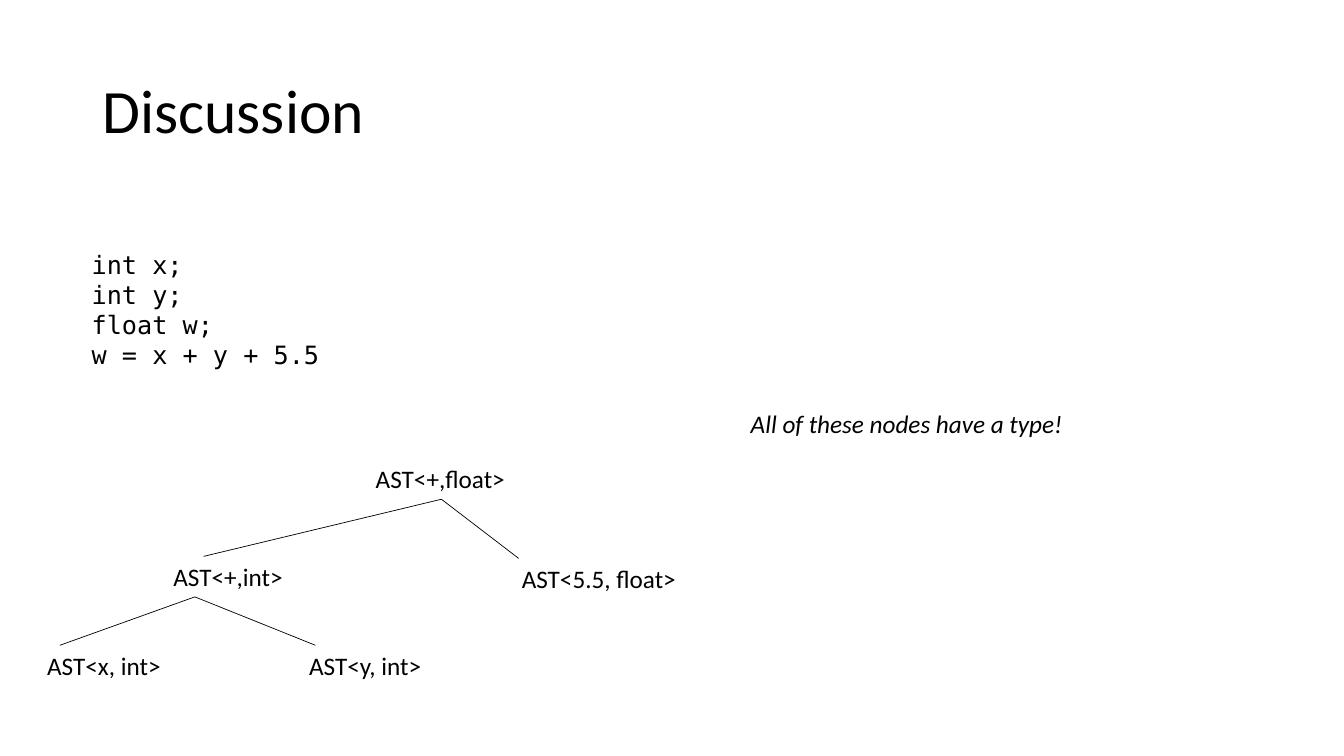
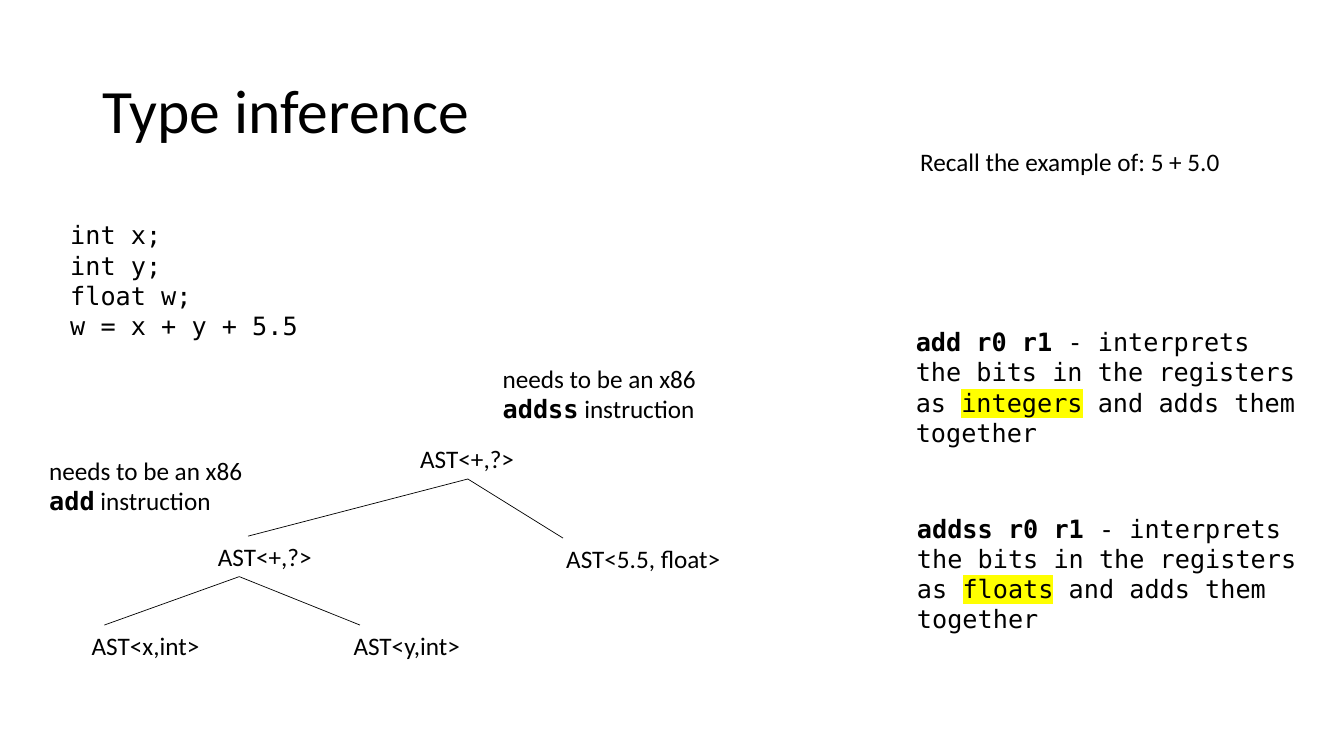
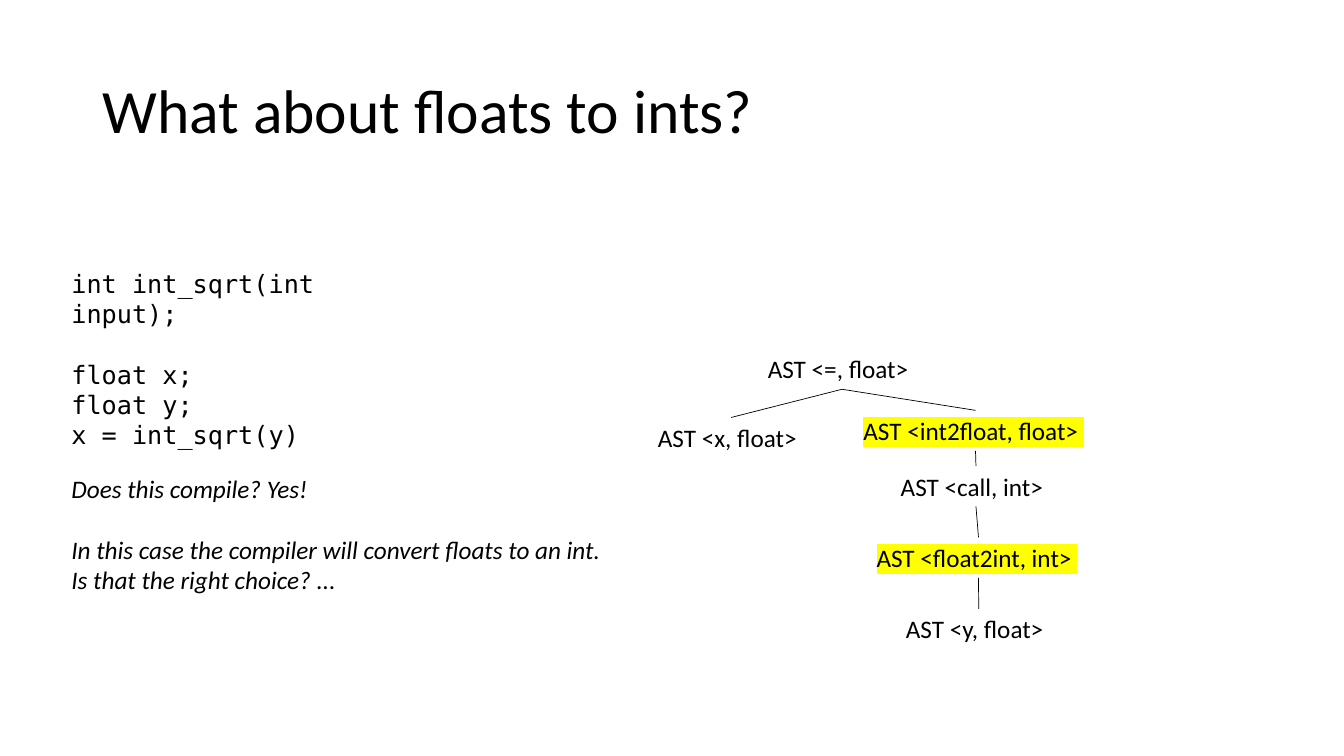
"""Build three slides on type inference over syntax trees."""
import pptx
import pptx.util
import pptx.dml.color
import pptx.enum.shapes
import pptx.enum.text
import pptx.oxml.ns
import lxml.etree

Cm = pptx.util.Cm
Pt = pptx.util.Pt
HUES = {"ink": "000000", "mark": "FFFF00"}
SANS = "Calibri"
MONO = "DejaVu Sans Mono"
TALL = 1.02
CODE = ["int x;", "int y;", "float w;\nw = x + y + 5.5"]


def hue(name):
    """Return a palette colour."""
    return pptx.dml.color.RGBColor.from_string(HUES[name])


def style(run, font=SANS, size=18, bold=False, slant=False, mark=False):
    """Format one run."""
    face = run.font
    face.size, face.bold, face.italic = Pt(size), bold, slant
    face.color.rgb = hue("ink")
    if mark:
        tag = pptx.oxml.ns.qn
        light = lxml.etree.SubElement(run._r.get_or_add_rPr(), tag("a:highlight"))
        lxml.etree.SubElement(light, tag("a:srgbClr"), val=HUES["mark"])
    face.name = font


def fill(frame, paras, gaps=(), **form):
    """Write paragraphs of plain text or (text, format) runs; gaps lists those set apart."""
    for rank, runs in enumerate(paras):
        para = frame.add_paragraph() if rank else frame.paragraphs[0]
        if rank in gaps:
            para.space_before = Pt(22)
        for text, extra in [(runs, {})] if isinstance(runs, str) else runs:
            for row, line in enumerate(text.split("\n")):
                if row:
                    para.add_line_break()
                if line:
                    run = para.add_run()
                    run.text = line
                    style(run, **{**form, **extra})


def words(slide, box, paras, wrap=False, **form):
    """Add a text box at box (left, top, width, height)."""
    frame = slide.shapes.add_textbox(*map(Cm, box)).text_frame
    frame.word_wrap = wrap
    frame.auto_size = pptx.enum.text.MSO_AUTO_SIZE.SHAPE_TO_FIT_TEXT
    fill(frame, paras, **form)


def start(deck, title, wide=29.21):
    """Add a slide with its title."""
    slide = deck.slides.add_slide(deck.slide_layouts[5])
    head = slide.shapes.title
    head.left, head.top, head.width, head.height = map(Cm, (2.33, 1.01, wide, 3.68))
    frame = head.text_frame
    frame.word_wrap = True
    frame.auto_size = pptx.enum.text.MSO_AUTO_SIZE.NONE
    frame.vertical_anchor = pptx.enum.text.MSO_ANCHOR.MIDDLE
    fill(frame, [title], size=44)
    frame.paragraphs[0].alignment = pptx.enum.text.PP_ALIGN.LEFT
    frame.paragraphs[0].line_spacing = 0.9
    return slide


def link(slide, x1, y1, x2, y2):
    """Draw a thin straight line."""
    kind = pptx.enum.shapes.MSO_CONNECTOR.STRAIGHT
    line = slide.shapes.add_connector(kind, *map(Cm, (x1, y1, x2, y2)))
    line.line.color.rgb = hue("ink")
    line.line.width = Pt(0.5)
    lxml.etree.SubElement(line.element.spPr, pptx.oxml.ns.qn("a:effectLst"))


def tree(slide, left, top, nodes, edges):
    """Draw nodes (text, x, y, width, mark) and edges (parent, child, exit x, entry x)."""
    for text, x, y, wide, mark in nodes:
        words(slide, (left + x, top + y, wide, TALL), [text], mark=mark)
    for up, down, out, into in edges:
        _, x1, y1, w1, _ = nodes[up]
        _, x2, y2, w2, _ = nodes[down]
        link(slide,
             left + x1 + (w1 / 2 if out is None else out), top + y1 + TALL,
             left + x2 + (w2 / 2 if into is None else into), top + y2)


def sum_tree(slide, left, top, labels, widths):
    """Draw the tree of x + y + 5.5."""
    spots = [(8.28, 0), (3.18, 2.46), (11.96, 2.51), (0, 4.7), (6.6, 4.7)]
    nodes = [(f"AST<{label}>", x, y, wide, False)
             for label, (x, y), wide in zip(labels, spots, widths)]
    edges = [(0, 1, None, 1.01), (0, 2, None, 0.17),
             (1, 3, 0.79, 0.57), (1, 4, 0.79, 0.41)]
    tree(slide, left, top, nodes, edges)


def code(slide, left, top):
    """Place the sample code of the sum."""
    words(slide, (left, top, 6.25, 3.33), CODE, font=MONO)


def need(slide, left, top, wide, name):
    """Say which instruction a node needs."""
    words(slide, (left, top, wide, 1.8),
          [[("needs to be an x86\n", {}),
            (name, {"font": MONO, "bold": True}), (" instruction", {})]])


def tell(slide, left, top, name, kind):
    """Explain how an instruction reads its registers."""
    words(slide, (left, top, 10.08, 3.33),
          [[(f"{name} r0 r1 ", {"bold": True}),
            ("- interprets\nthe bits in the registers\nas ", {}),
            (kind, {"mark": True}), (" and adds them\ntogether", {})]],
          font=MONO)


def talk(deck):
    """Build the discussion slide."""
    slide = start(deck, "Discussion")
    sum_tree(slide, 0.94, 11.56, ["+,float", "+,int", "5.5, float", "x, int", "y, int"],
             [3.81, 3.3, 4.45, 3.4, 3.38])
    code(slide, 2.06, 6.15)
    words(slide, (18.67, 10.16, 8.53, TALL), ["All of these nodes have a type!"], slant=True)


def infer(deck):
    """Build the type inference slide."""
    slide = start(deck, "Type inference", 30.61)
    sum_tree(slide, 2.06, 11.05, ["+,?", "+,?", "5.5, float", "x,int", "y,int"],
             [2.9, 2.9, 4.45, 3.25, 3.23])
    need(slide, 0.99, 11.35, 5.44, "add")
    need(slide, 12.42, 9.02, 5.54, "addss")
    tell(slide, 22.83, 8.1, "add", "integers")
    tell(slide, 22.86, 12.8, "addss", "floats")
    code(slide, 1.52, 5.41)
    words(slide, (22.94, 3.56, 8.15, TALL), ["Recall the example of: 5 + 5.0"])


def cast(deck):
    """Build the slide on floats to ints."""
    slide = start(deck, "What about floats to ints?")
    words(slide, (1.55, 6.63, 9.63, 4.11),
          ["int int_sqrt(int input);", "float x;", "float y;\nx = int_sqrt(y)"],
          wrap=True, gaps=(1,), font=MONO)
    nodes = [("AST <=, float>", 2.77, 0, 4.24, False),
             ("AST <x, float>", 0, 1.73, 4.19, False),
             ("AST <int2float, float> ", 5.18, 1.55, 6.15, True),
             ("AST <call, int>", 6.12, 2.95, 4.29, False),
             ("AST <float2int, int> ", 5.51, 4.75, 5.64, True),
             ("AST <y, float>", 6.25, 6.55, 4.17, False)]
    pairs = [(0, 1), (0, 2), (2, 3), (3, 4), (4, 5)]
    tree(slide, 16.33, 8.79, nodes, [(up, down, None, None) for up, down in pairs])
    words(slide, (1.55, 11.79, 14, 3.33),
          ["Does this compile? Yes!",
           "In this case the compiler will convert floats to an int.",
           "Is that the right choice? ..."],
          gaps=(1,), slant=True)


def main():
    """Build and save the deck."""
    deck = pptx.Presentation()
    deck.slide_width, deck.slide_height = Cm(33.87), Cm(19.05)
    for build in (talk, infer, cast):
        build(deck)
    deck.save("out.pptx")


if __name__ == "__main__":
    main()
